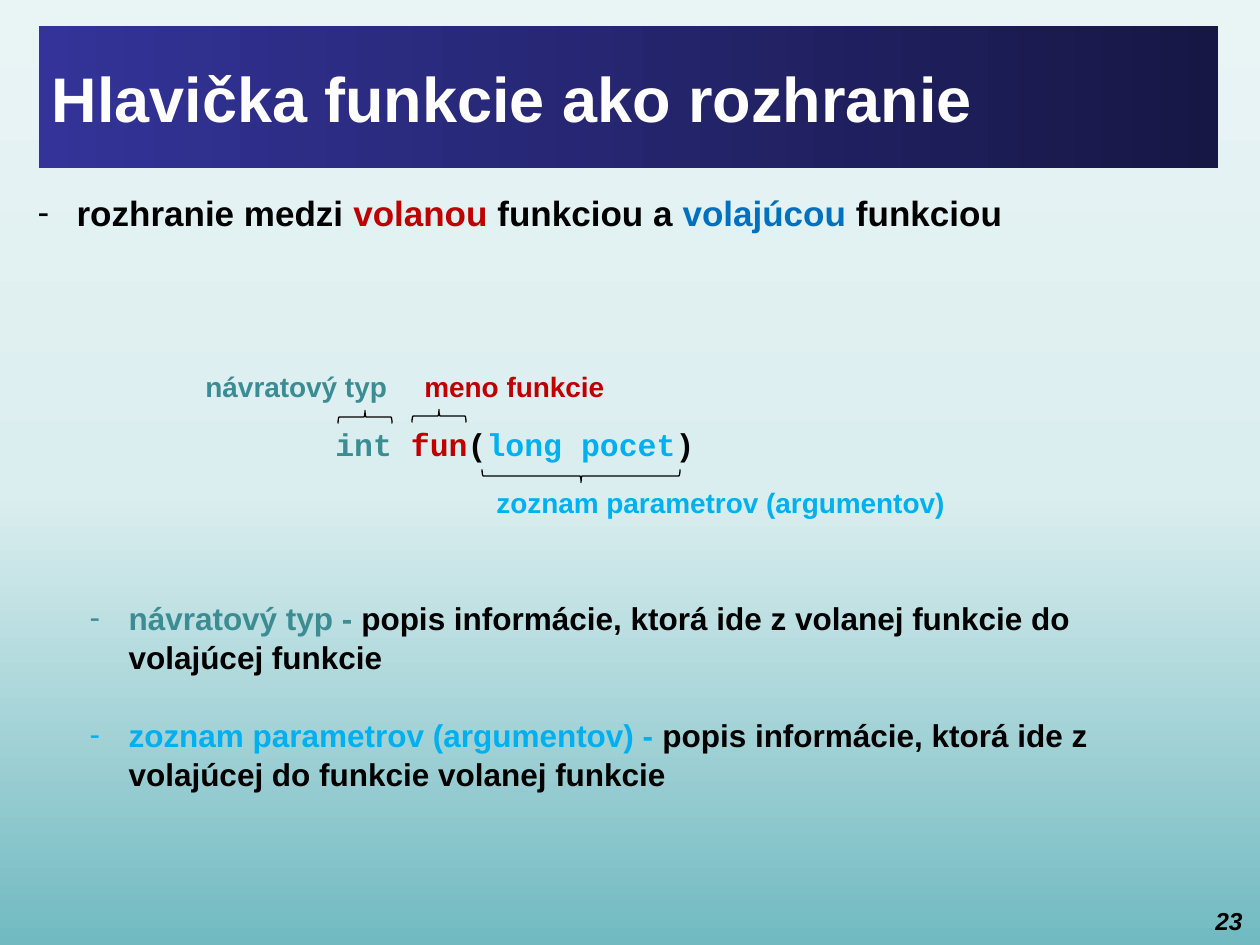
from copy import deepcopy

from lxml import etree
from pptx import Presentation
from pptx import util as u
from pptx.dml.color import RGBColor
from pptx.enum import shapes, text
from pptx.oxml.ns import qn

PX = 914400 // 126
BLACK, WHITE = "000000", "FFFFFF"
TEAL, RED, BLUE, SKY = "3C8C93", "C00000", "0070C0", "00B0F0"


def rgb(value):
    return RGBColor.from_string(value)


def write(shape, paragraphs, size, font="Arial", bullet=False, wrap=True):
    """Fill a shape with paragraphs, each a list of (wording, colour) pairs."""
    frame = shape.text_frame
    frame.auto_size = text.MSO_AUTO_SIZE.NONE
    frame.word_wrap = wrap
    for i, pieces in enumerate(paragraphs):
        par = frame.add_paragraph() if i else frame.paragraphs[0]
        par.alignment = text.PP_ALIGN.LEFT
        par.space_before = u.Pt(0)
        if bullet:
            props = par._p.get_or_add_pPr()
            props.set("marL", str(39 * PX))
            props.set("indent", str(-39 * PX))
            etree.SubElement(props, qn("a:buFont")).set("typeface", "Arial")
            etree.SubElement(props, qn("a:buChar")).set("char", "-")
        for wording, colour in pieces:
            run = par.add_run()
            run.text = wording
            run.font.name = font
            run.font.size = u.Pt(size)
            run.font.bold = True
            run.font.color.rgb = rgb(colour)
    return frame


prs = Presentation()
prs.slide_width, prs.slide_height = 1260 * PX, 945 * PX
slide = prs.slides.add_slide(prs.slide_layouts.get_by_name("Two Content"))
title, interface, details = slide.placeholders

# Background and title band
background = slide.background.fill
background.gradient()
background.gradient_angle = 90
stop_list = background.gradient_stops[0]._gs.getparent()
stop_list.insert(1, deepcopy(stop_list[0]))
for stop, (position, colour) in zip(
        background.gradient_stops,
        [(0, "71BAC1"), (0.48, "DBEEEF"), (1, "E9F4F5")]):
    stop.position = position
    stop.color.rgb = rgb(colour)

title.fill.gradient()
title.fill.gradient_angle = 0
for stop, colour in zip(title.fill.gradient_stops, ["333399", "171746"]):
    stop.color.rgb = rgb(colour)

# Title and lists
for placeholder, box in [(title, (39, 26, 1179, 142)),
                         (interface, (25, 185, 1171, 106)),
                         (details, (77, 591, 1129, 318))]:
    placeholder.left, placeholder.top, placeholder.width, placeholder.height = (
        length * PX for length in box)

write(title, [[("Hlavička funkcie ako rozhranie", WHITE)]], 36)
title.text_frame.vertical_anchor = text.MSO_ANCHOR.MIDDLE

write(interface, [[("rozhranie medzi ", BLACK), ("volanou", RED),
                   (" funkciou a ", BLACK), ("volajúcou", BLUE),
                   (" funkciou", BLACK)]], 20, bullet=True)

explanations = write(details, [
    [("návratový typ - ", TEAL),
     ("popis informácie, ktorá ide z volanej funkcie do volajúcej funkcie", BLACK)],
    [("zoznam parametrov (argumentov) - ", SKY),
     ("popis informácie, ktorá ide z  volajúcej do funkcie volanej funkcie", BLACK)],
], 18, bullet=True)
for par in explanations.paragraphs:
    par.line_spacing = 1.04
explanations.paragraphs[1].space_before = u.Pt(22)

# Function header
header = slide.shapes.add_textbox(323 * PX, 413 * PX, 407 * PX, 57 * PX)
header_frame = write(header, [[("int ", TEAL), ("fun", RED), ("(", BLACK),
                               ("long pocet", SKY), (")", BLACK)]],
                     18, font="Courier New")
header_frame.paragraphs[0].line_spacing = 1.15

# Labels, each with a brace: centre x, centre y, length and rotation
for wording, colour, left, top, width, (cx, cy, length, turn) in [
        ("návratový typ", TEAL, 193, 363, 209, (365, 417, 54, 270)),
        ("meno funkcie", RED, 412, 363, 207, (439, 416, 54, 270)),
        ("zoznam parametrov (argumentov)", SKY, 484, 479, 483, (581, 476, 198, 90))]:
    label = slide.shapes.add_textbox(left * PX, top * PX, width * PX, 47 * PX)
    write(label, [[(wording, colour)]], 16, wrap=False)
    depth = 13
    brace = slide.shapes.add_shape(
        shapes.MSO_SHAPE.RIGHT_BRACE, cx * PX - depth * PX // 2,
        cy * PX - length * PX // 2, depth * PX, length * PX)
    brace.rotation = turn
    brace.shadow.inherit = False
    brace.fill.background()
    brace.line.color.rgb = rgb(BLACK)
    brace.line.width = u.Pt(0.75)

# Page number
page = slide.shapes.add_textbox(1188 * PX, 900 * PX, 67 * PX, 39 * PX)
page_par = write(page, [[("23", BLACK)]], 14).paragraphs[0]
page_par.alignment = text.PP_ALIGN.RIGHT
page_par.runs[0].font.italic = True

prs.save("out.pptx")
